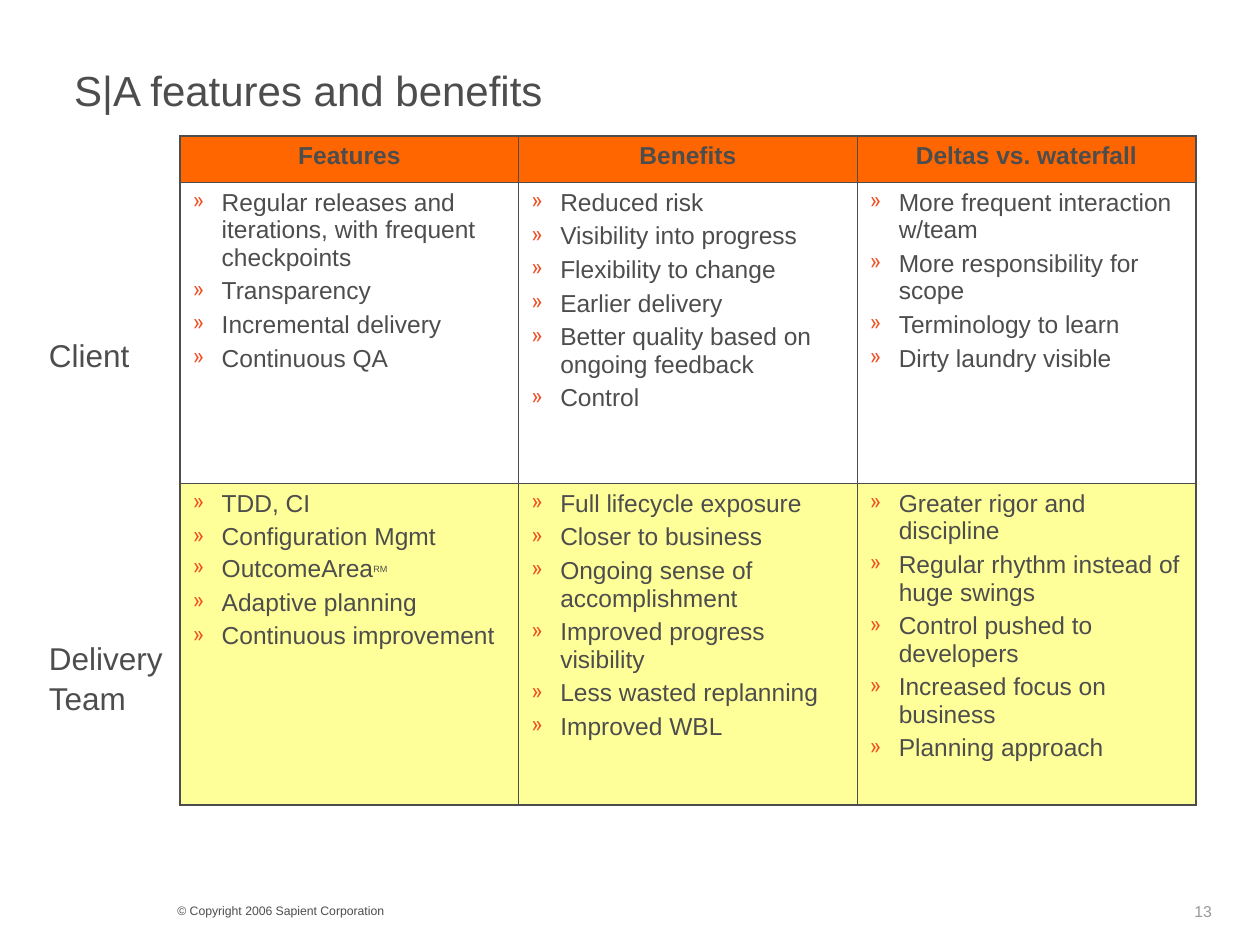
"""Build the slide comparing features, benefits and deltas for client and delivery team."""
from lxml.etree import SubElement
from pptx import Presentation
from pptx.dml.color import RGBColor
from pptx.enum.text import MSO_ANCHOR, PP_ALIGN
from pptx.oxml.ns import qn
from pptx.util import Inches, Pt

GREY, ORANGE, YELLOW, BULLET = "4D4D4D", "FF6600", "FFFF99", "F04E22"
THICK, THIN = 1.08, 0.45


def style(run, size, colour=GREY, bold=False):
    run.font.name = "Arial"
    run.font.size = Pt(size)
    run.font.bold = bold
    run.font.color.rgb = RGBColor.from_string(colour)


def add_child(parent, tag, **attributes):
    return SubElement(parent, qn(tag), attributes)


deck = Presentation()
deck.slide_width, deck.slide_height = Inches(10), Inches(7.5)
slide = deck.slides.add_slide(deck.slide_layouts[6])

captions = [
    ("© Copyright 2006 Sapient Corporation", 1.31, 7.12, 4, 0.22, 7, GREY, 1, MSO_ANCHOR.TOP),
    ("13", 9.38, 7.11, 0.75, 0.24, 9, "999999", 1, MSO_ANCHOR.TOP),
    ("S|A features and benefits", 0.49, 0.44, 9.01, 0.55, 24, GREY, 1, MSO_ANCHOR.MIDDLE),
    ("Client", 0.29, 2.6, 1.56, 0.4, 18, GREY, 1.05, MSO_ANCHOR.TOP),
    ("Delivery Team", 0.29, 5.01, 1.56, 0.7, 18, GREY, 1.05, MSO_ANCHOR.TOP),
]
for wording, left, top, width, height, size, colour, spacing, anchor in captions:
    caption = slide.shapes.add_textbox(Inches(left), Inches(top), Inches(width), Inches(height))
    frame = caption.text_frame
    frame.word_wrap = True
    frame.vertical_anchor = anchor
    frame.text = wording
    frame.paragraphs[0].line_spacing = spacing
    style(frame.paragraphs[0].runs[0], size, colour)

headings = ["Features", "Benefits", "Deltas vs. waterfall"]
client = [
    ["Regular releases and iterations, with frequent checkpoints", "Transparency",
     "Incremental delivery", "Continuous QA"],
    ["Reduced risk", "Visibility into progress", "Flexibility to change", "Earlier delivery",
     "Better quality based on ongoing feedback", "Control"],
    ["More frequent interaction w/team", "More responsibility for scope",
     "Terminology to learn", "Dirty laundry visible"],
]
delivery_team = [
    ["TDD, CI", "Configuration Mgmt", "OutcomeArea", "Adaptive planning",
     "Continuous improvement"],
    ["Full lifecycle exposure", "Closer to business", "Ongoing sense of accomplishment",
     "Improved progress visibility", "Less wasted replanning", "Improved WBL"],
    ["Greater rigor and discipline", "Regular rhythm instead of huge swings",
     "Control pushed to developers", "Increased focus on business", "Planning approach"],
]
bands = [
    ([[heading] for heading in headings], 0.37, ORANGE),
    (client, 2.39, None),
    (delivery_team, 2.55, YELLOW),
]
table_width, table_height = Inches(8.06), Inches(5.31)
comparison = slide.shapes.add_table(
    len(bands), len(headings), Inches(1.43), Inches(1.08), table_width, table_height).table
comparison.horz_banding = False
comparison.first_row = False
for column in comparison.columns:
    column.width = table_width // len(headings)

for row, (entries, row_height, fill) in enumerate(bands):
    comparison.rows[row].height = Inches(row_height)
    for col, points in enumerate(entries):
        cell = comparison.cell(row, col)
        properties = cell._tc.get_or_add_tcPr()
        outer_edges = {"a:lnL": col == 0, "a:lnR": col == len(headings) - 1,
                       "a:lnT": row == 0, "a:lnB": row == len(bands) - 1}
        for edge, is_outer in outer_edges.items():
            border = add_child(properties, edge, w=str(Pt(THICK if is_outer else THIN)))
            add_child(add_child(border, "a:solidFill"), "a:srgbClr", val=GREY)
        if fill:
            cell.fill.solid()
            cell.fill.fore_color.rgb = RGBColor.from_string(fill)
        else:
            cell.fill.background()

        cell.text_frame.text = "\n".join(points)
        for index, paragraph in enumerate(cell.text_frame.paragraphs):
            style(paragraph.runs[0], 14, bold=row == 0)
            if row == 0:
                paragraph.alignment = PP_ALIGN.CENTER
                continue
            layout = paragraph._p.get_or_add_pPr()
            layout.set("marL", str(Inches(0.23)))
            layout.set("indent", str(-Inches(0.23)))
            add_child(add_child(layout, "a:buClr"), "a:srgbClr", val=BULLET)
            add_child(layout, "a:buSzPct", val="85000")
            add_child(layout, "a:buChar", char="»")
            if index:
                paragraph.space_before = Pt(3.5)

service_mark = comparison.cell(2, 0).text_frame.paragraphs[2]
service_mark.space_before = Pt(2.2)
superscript = service_mark.add_run()
superscript.text = "RM"
style(superscript, 9)
superscript.font._element.set("baseline", "30000")

deck.save("out.pptx")
